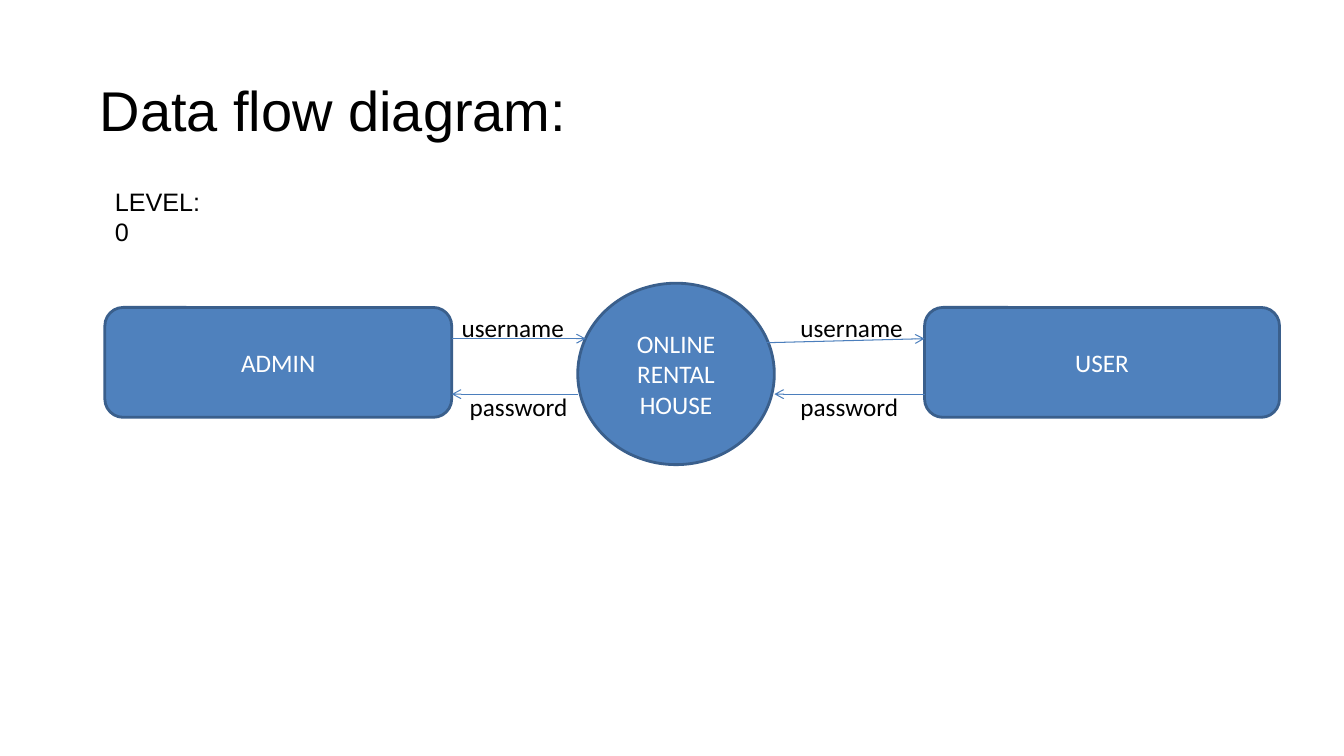
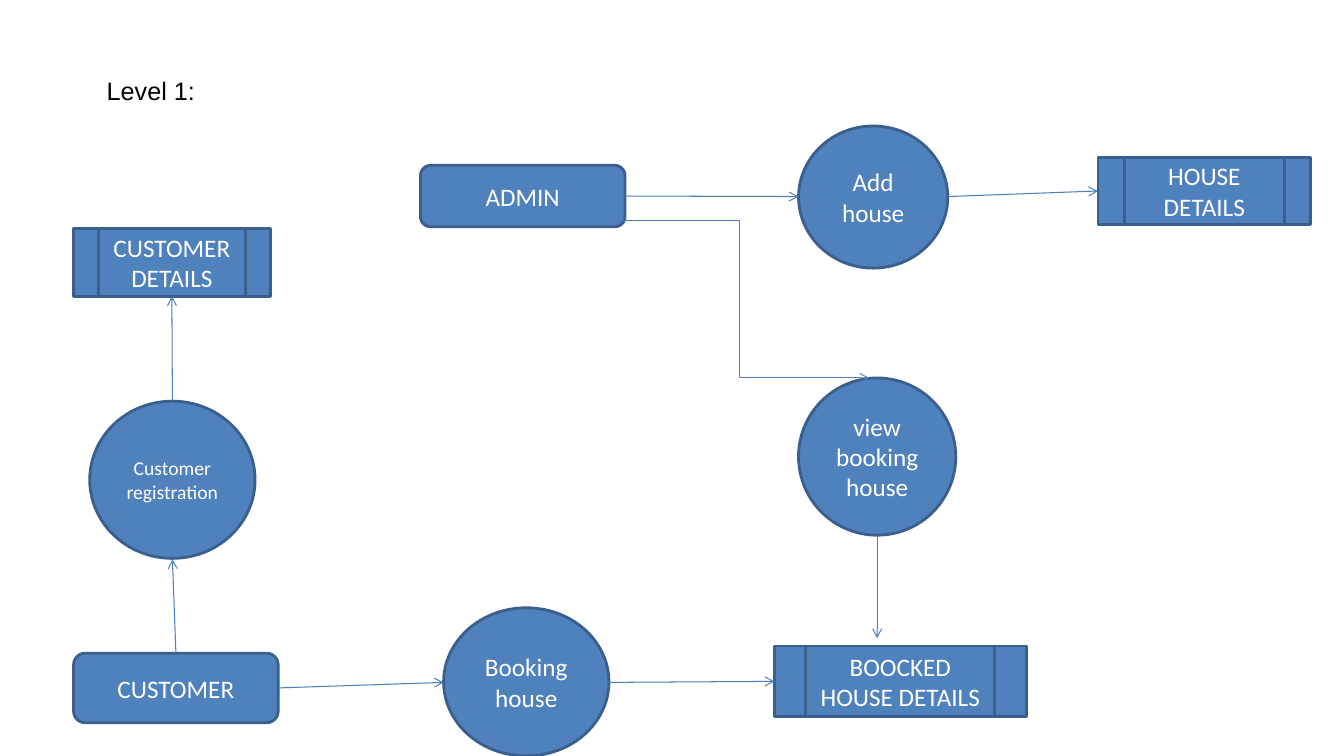
import pptx
import pptx.dml.color
import pptx.enum.shapes
import pptx.enum.text
import pptx.util
from lxml import etree

Inches = pptx.util.Inches
SHAPES = pptx.enum.shapes.MSO_SHAPE
CONNECTORS = pptx.enum.shapes.MSO_CONNECTOR
DRAWING = "{http://schemas.openxmlformats.org/drawingml/2006/main}"

FILL, OUTLINE, ARROW = "4F81BD", "3A5F8C", "4B7EBC"
BLACK, WHITE = "000000", "FFFFFF"
HEADING_FONT, BODY_FONT = "Arial", "Calibri"
TOP, LEFT, BOTTOM, RIGHT = range(4)
KINDS = {
    "entity": SHAPES.ROUNDED_RECTANGLE,
    "process": SHAPES.OVAL,
    "store": SHAPES.FLOWCHART_PREDEFINED_PROCESS,
}

LEVELS = [
    {
        "headings": [
            ("Data flow diagram:", (0.89, 0.7, 6.06, 1.45), 40),
            ("LEVEL:0", (1.04, 1.8, 1.17, 0.4), 18),
        ],
        "nodes": {
            "admin": ("entity", ["ADMIN"], (1.04, 3.05, 3.44, 1.09), 18),
            "user": ("entity", ["USER"], (9.17, 3.05, 3.52, 1.09), 18),
            "rental": ("process", ["ONLINE RENTAL", "HOUSE"], (5.73, 2.81, 1.95, 1.8), 18),
        },
        "flows": [
            ((4.48, 3.36), (5.81, 3.36)),
            ((7.6, 3.4), (9.17, 3.36)),
            ((9.17, 3.91), (7.68, 3.91)),
            ((5.73, 3.91), (4.48, 3.91)),
        ],
        "labels": [
            ("username", (4.48, 3.05, 1.23, 0.4)),
            ("username", (7.84, 3.05, 1.23, 0.4)),
            ("password", (4.56, 3.83, 1.18, 0.4)),
            ("password", (7.84, 3.83, 1.18, 0.4)),
        ],
    },
    {
        "headings": [("Level 1:", (0.96, 0.7, 1.23, 0.71), 18)],
        "nodes": {
            "customer": ("entity", ["CUSTOMER"], (0.73, 6.48, 2.03, 0.69), 18),
            "admin": ("entity", ["ADMIN"], (4.17, 1.64, 2.03, 0.61), 18),
            "customers": ("store", ["CUSTOMER", "DETAILS"], (0.73, 2.27, 1.95, 0.67), 18),
            "booked": ("store", ["BOOCKED HOUSE DETAILS"], (7.68, 6.41, 2.5, 0.7), 18),
            "houses": ("store", ["HOUSE DETAILS"], (10.89, 1.56, 2.11, 0.67), 18),
            "registration": ("process", ["Customer", "registration"], (0.89, 3.98, 1.64, 1.56), 14),
            "booking": ("process", ["Booking", "house"], (4.4, 6.03, 1.64, 1.47), 18),
            "add": ("process", ["Add house"], (7.92, 1.25, 1.48, 1.41), 18),
            "view": ("process", ["view booking", "house"], (7.92, 3.75, 1.56, 1.56), 18),
        },
        "flows": [
            (("customer", TOP), (1.71, 5.55)),
            ((1.71, 3.98), ("customers", BOTTOM)),
            (("customer", RIGHT), (4.4, 6.77)),
            ((6.04, 6.77), ("booked", LEFT)),
            ((8.7, 5.31), (8.7, 6.33)),
            (("admin", RIGHT), (7.92, 1.95)),
            ((9.4, 1.95), ("houses", LEFT)),
        ],
        "bent_flows": [((6.04, 2.19), (8.62, 3.75))],
        "labels": [],
    },
]


def colour(value):
    return pptx.dml.color.RGBColor.from_string(value)


def style_paragraph(para, font, size, value):
    para.font.name = font
    para.font.size = pptx.util.Pt(size)
    para.font.color.rgb = colour(value)


def add_text(page, text, place, font, size=18):
    box = page.shapes.add_textbox(*map(Inches, place))
    frame = box.text_frame
    frame.word_wrap = True
    frame.auto_size = pptx.enum.text.MSO_AUTO_SIZE.SHAPE_TO_FIT_TEXT
    frame.text = text
    style_paragraph(frame.paragraphs[0], font, size, BLACK)


def add_node(page, kind, lines, place, size):
    node = page.shapes.add_shape(KINDS[kind], *map(Inches, place))
    node.shadow.inherit = False
    node.fill.solid()
    node.fill.fore_color.rgb = colour(FILL)
    node.line.color.rgb = colour(OUTLINE)
    node.line.width = pptx.util.Pt(2)
    frame = node.text_frame
    frame.word_wrap = True
    frame.vertical_anchor = pptx.enum.text.MSO_ANCHOR.MIDDLE
    frame.text = "\n".join(lines)
    for para in frame.paragraphs:
        para.alignment = pptx.enum.text.PP_ALIGN.CENTER
        style_paragraph(para, BODY_FONT, size, WHITE)
    return node


def add_flow(page, nodes, start, end, kind=CONNECTORS.STRAIGHT):
    points = [(0, 0) if isinstance(stop[0], str) else stop for stop in (start, end)]
    flow = page.shapes.add_connector(kind, *(Inches(value) for point in points for value in point))
    for stop, connect in ((start, flow.begin_connect), (end, flow.end_connect)):
        if isinstance(stop[0], str):
            connect(nodes[stop[0]], stop[1])
    flow.line.color.rgb = colour(ARROW)
    flow.line.width = pptx.util.Pt(0.75)
    properties = flow.element.spPr
    etree.SubElement(properties.find(DRAWING + "ln"), DRAWING + "tailEnd", type="arrow")
    etree.SubElement(properties, DRAWING + "effectLst")


def add_level(deck, level):
    page = deck.slides.add_slide(deck.slide_layouts[6])
    for text, place, size in level["headings"]:
        add_text(page, text, place, HEADING_FONT, size)
    nodes = {name: add_node(page, *node) for name, node in level["nodes"].items()}
    for start, end in level["flows"]:
        add_flow(page, nodes, start, end)
    for start, end in level.get("bent_flows", []):
        add_flow(page, nodes, start, end, CONNECTORS.ELBOW)
    for text, place in level["labels"]:
        add_text(page, text, place, BODY_FONT)


def main():
    """Build the data flow diagrams for both levels."""
    deck = pptx.Presentation()
    deck.slide_width, deck.slide_height = Inches(13.33), Inches(7.5)
    for level in LEVELS:
        add_level(deck, level)
    deck.save("out.pptx")


if __name__ == "__main__":
    main()
